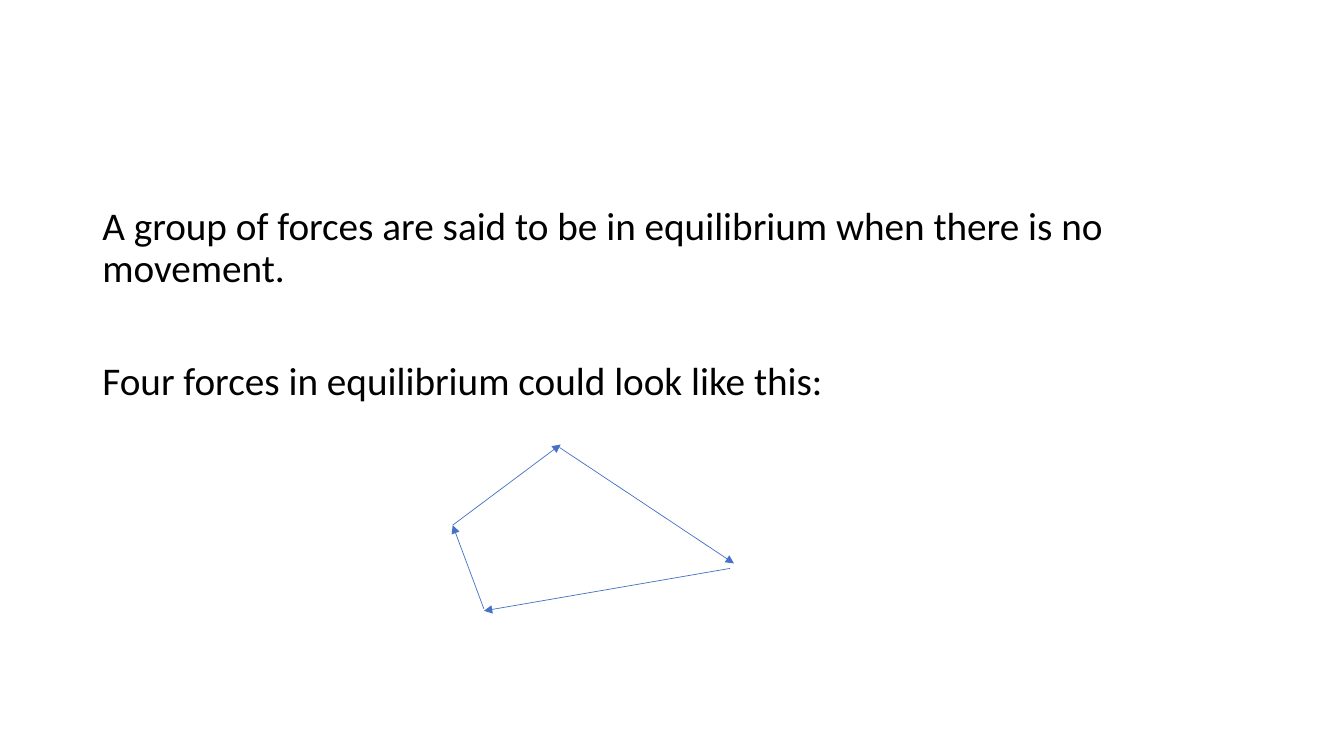
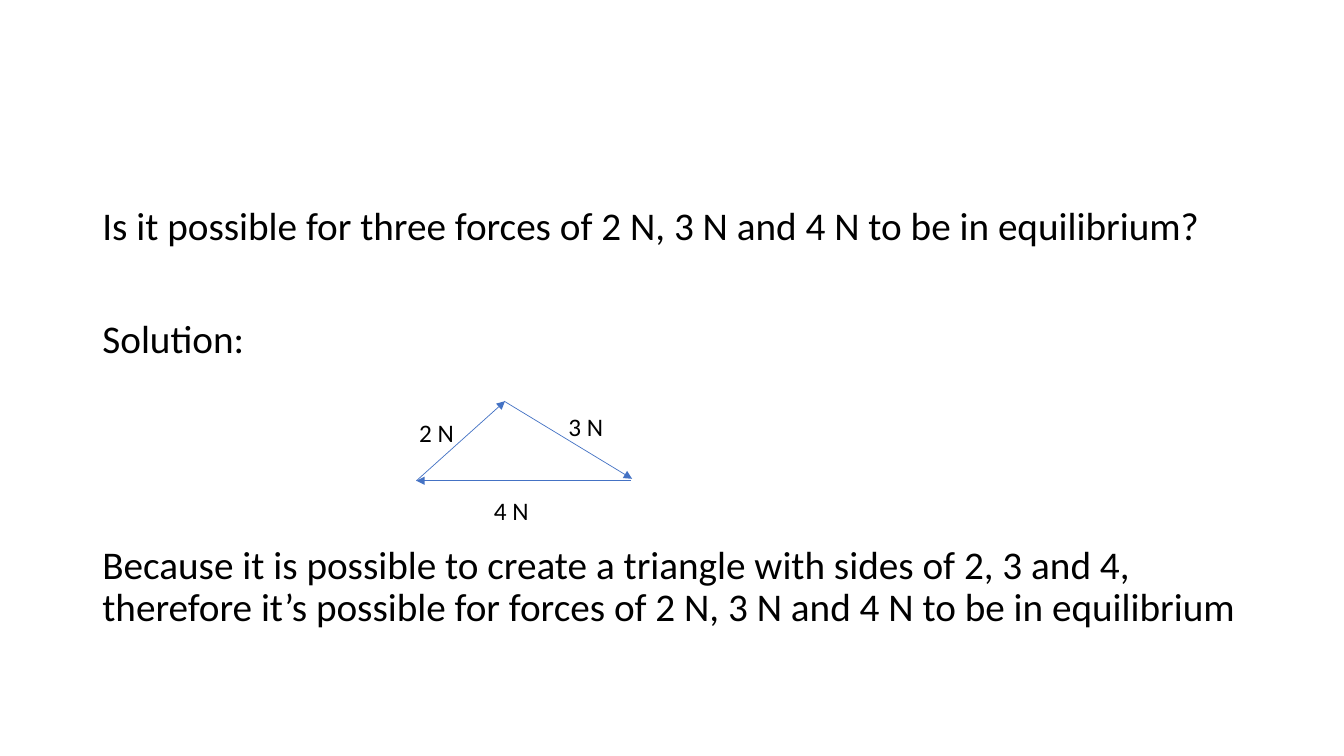
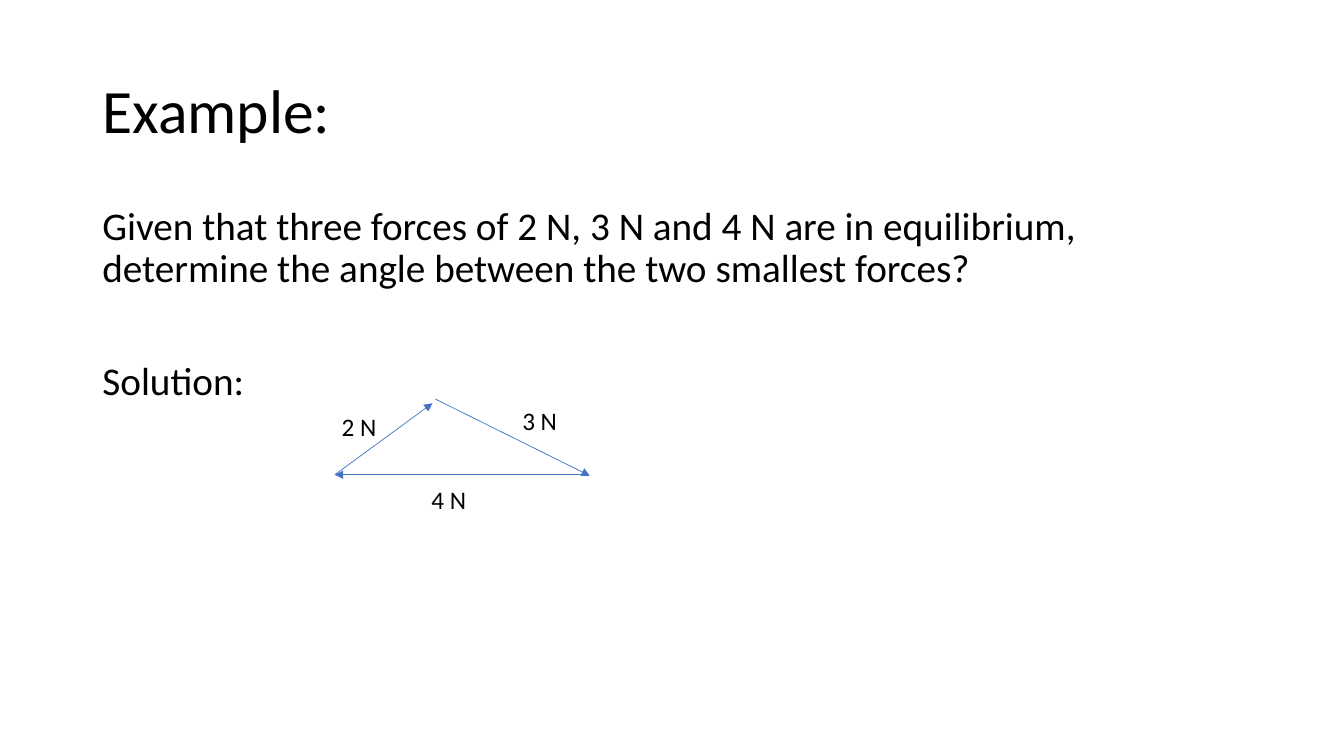
import dataclasses

import pptx
import pptx.dml.color
import pptx.enum.shapes
import pptx.enum.text
import pptx.oxml.ns
import pptx.util
from lxml import etree


@dataclasses.dataclass(frozen=True)
class Theme:
    """Colours, font and type sizes shared by the slides."""
    ink: str = "000000"
    force: str = "4472C4"
    font: str = "Calibri"
    title_size: float = 44
    body_size: float = 28
    label_size: float = 18
    force_width: float = 0.5
    line_spacing: float = 0.9
    space_before: float = 10
    blank_line: float = 40.4


@dataclasses.dataclass(frozen=True)
class Box:
    """A region whose contents are placed by percentages of its size."""
    left: int
    top: int
    width: int
    height: int

    def point(self, x, y):
        """Return the position at the given percentages of the box."""
        return (round(self.left + self.width * x / 100),
                round(self.top + self.height * y / 100))

    def region(self, x, y, width, height):
        """Return the inner box given in percentages of this one."""
        return Box(*self.point(x, y), round(self.width * width / 100),
                   round(self.height * height / 100))

    def frame(self):
        """Return left, top, width and height."""
        return self.left, self.top, self.width, self.height


THEME = Theme()
PAGE = Box(0, 0, pptx.util.Inches(13.33), pptx.util.Inches(7.5))
TITLE = PAGE.region(6.88, 5.33, 86.25, 19.33)
BODY = PAGE.region(6.88, 26.63, 86.25, 63.45)
LABEL = PAGE.region(0, 0, 7.5, 5.33)
TITLE_ONLY, BLANK = 5, 6


def write(paragraph, words, size):
    """Add one run in the theme's font and ink."""
    run = paragraph.add_run()
    run.text = words
    run.font.name = THEME.font
    run.font.size = pptx.util.Pt(size)
    run.font.color.rgb = pptx.dml.color.RGBColor.from_string(THEME.ink)


def add_title(slide, box, words):
    """Move and format the title placeholder."""
    title = slide.shapes.title
    title.left, title.top, title.width, title.height = box.frame()
    frame = title.text_frame
    frame.auto_size = pptx.enum.text.MSO_AUTO_SIZE.NONE
    frame.vertical_anchor = pptx.enum.text.MSO_ANCHOR.MIDDLE
    heading = frame.paragraphs[0]
    heading.alignment = pptx.enum.text.PP_ALIGN.LEFT
    heading.line_spacing = THEME.line_spacing
    write(heading, words, THEME.title_size)


def add_body(slide, box, statements):
    """Write statements, each with the number of line gaps above it."""
    frame = slide.shapes.add_textbox(*box.frame()).text_frame
    frame.word_wrap = True
    for index, (gaps, words) in enumerate(statements):
        statement = frame.add_paragraph() if index else frame.paragraphs[0]
        statement.line_spacing = THEME.line_spacing
        statement.space_before = pptx.util.Pt(
            THEME.space_before + gaps * THEME.blank_line)
        write(statement, words, THEME.body_size)


def add_force(slide, start, end):
    """Draw one force as a thin arrow."""
    force = slide.shapes.add_connector(
        pptx.enum.shapes.MSO_CONNECTOR.STRAIGHT, *start, *end)
    force.line.color.rgb = pptx.dml.color.RGBColor.from_string(THEME.force)
    force.line.width = pptx.util.Pt(THEME.force_width)
    qn = pptx.oxml.ns.qn
    properties = force.element.spPr
    etree.SubElement(properties.find(qn("a:ln")), qn("a:tailEnd"),
                     type="triangle")
    etree.SubElement(properties, qn("a:effectLst"))


def add_polygon(slide, box, forces, labels=()):
    """Draw a polygon of forces and its labels inside a box."""
    for start, end in forces:
        add_force(slide, box.point(*start), box.point(*end))
    for words, corner in labels:
        frame = slide.shapes.add_textbox(
            *box.point(*corner), LABEL.width, LABEL.height).text_frame
        frame.word_wrap = True
        frame.auto_size = pptx.enum.text.MSO_AUTO_SIZE.SHAPE_TO_FIT_TEXT
        write(frame.paragraphs[0], words, THEME.label_size)


def add_page(deck, statements, polygon_box, forces, labels=(), title=None):
    """Build a slide of statements with a force polygon."""
    slide = deck.slides.add_slide(
        deck.slide_layouts[TITLE_ONLY if title else BLANK])
    if title:
        add_title(slide, TITLE, title)
    add_body(slide, BODY, statements)
    add_polygon(slide, polygon_box, forces, labels)


def main():
    """Build and save the deck."""
    deck = pptx.Presentation()
    deck.slide_width, deck.slide_height = PAGE.width, PAGE.height
    add_page(
        deck,
        [(0, "A group of forces are said to be in equilibrium when there is "
             "no movement."),
         (1, "Four forces in equilibrium could look like this:")],
        PAGE.region(33.68, 58.8, 20.93, 22),
        [((0, 48.5), (38.4, 0)),
         ((38, 1.8), (100, 71.5)),
         ((98.6, 74.5), (11.1, 100)),
         ((11.1, 98.8), (0, 48.5))])
    add_page(
        deck,
        [(0, "Is it possible for three forces of 2 N, 3 N and 4 N to be in "
             "equilibrium?"),
         (1, "Solution:"),
         (3, "Because it is possible to create a triangle with sides of 2, 3 "
             "and 4, therefore it’s possible for forces of 2 N, 3 N and 4 N "
             "to be in equilibrium")],
        PAGE.region(30.98, 53.07, 16.05, 10.53),
        [((0, 100), (41.1, 0)),
         ((40.7, 0), (100, 97.5)),
         ((99.5, 100), (0, 100))],
        [("2 N", (-3.3, 13.9)), ("3 N", (65.9, 6.3)), ("4 N", (31.3, 111.4))])
    add_page(
        deck,
        [(0, "Given that three forces of 2 N, 3 N and 4 N are in equilibrium, "
             "determine the angle between the two smallest forces?"),
         (1, "Solution:")],
        PAGE.region(24.91, 52.8, 18.98, 10.13),
        [((0, 98.7), (38.3, 5.3)),
         ((39.5, 0), (100, 100)),
         ((98.4, 98.7), (0, 98.7))],
        [("2 N", (-1.2, 9.2)), ("3 N", (69.6, 1.3)), ("4 N", (34, 105.3))],
        title="Example:")
    deck.save("out.pptx")


if __name__ == "__main__":
    main()
